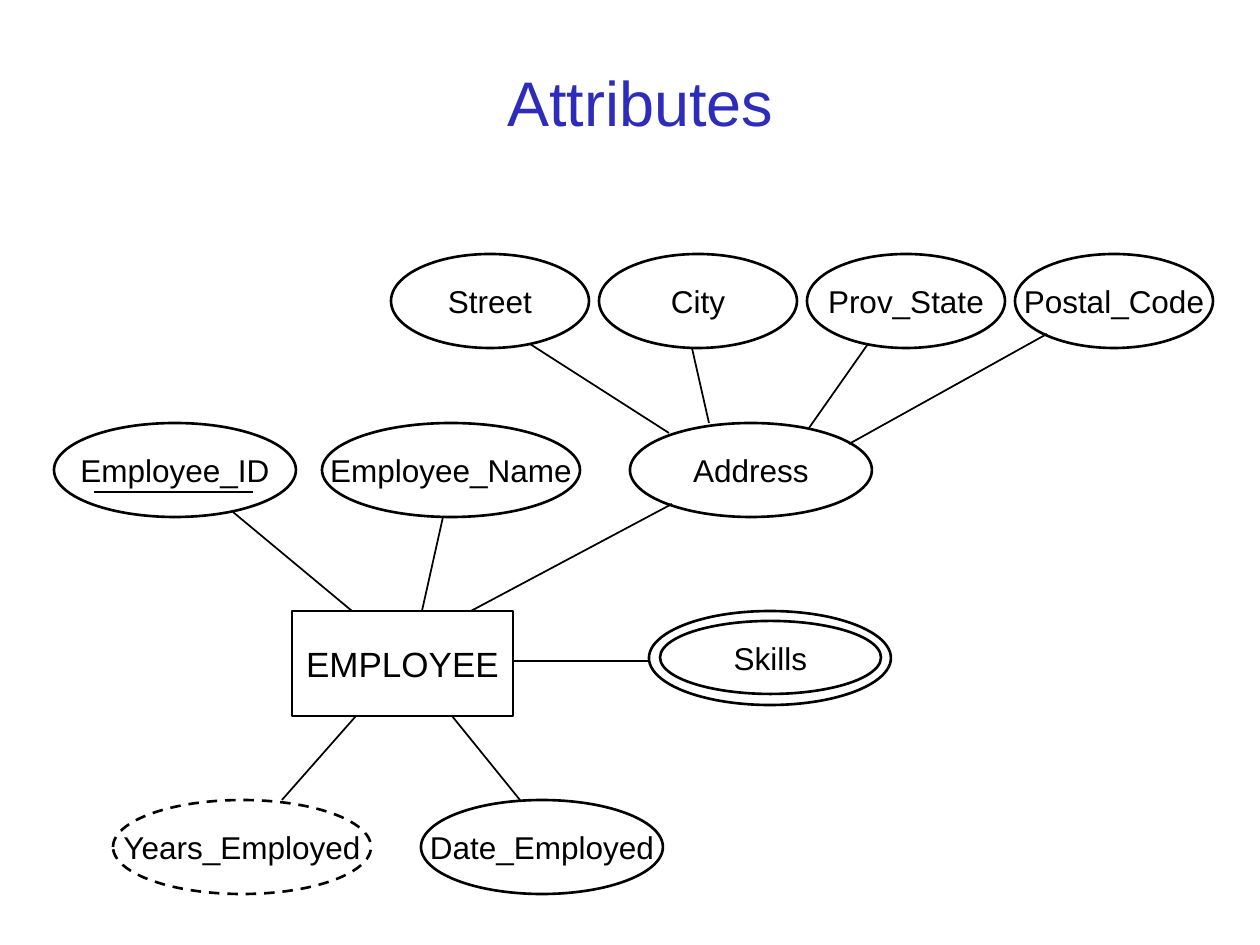
from lxml.etree import SubElement
from pptx import Presentation
from pptx.dml.color import RGBColor
from pptx.enum.dml import MSO_LINE
from pptx.enum.shapes import MSO_CONNECTOR, MSO_SHAPE
from pptx.enum.text import MSO_ANCHOR, PP_ALIGN
from pptx.oxml.ns import qn
from pptx.util import Emu, Pt

PIXEL = 914400 // 126
BLACK = "000000"
TITLE_BLUE = "2D2DB9"
OVAL_HEIGHT = 94


def px(*lengths):
    return [Emu(length * PIXEL) for length in lengths]


def color(value):
    return RGBColor.from_string(value)


def write(frame, text, size, text_color):
    frame.vertical_anchor = MSO_ANCHOR.MIDDLE
    paragraph = frame.paragraphs[0]
    paragraph.alignment = PP_ALIGN.CENTER
    run = paragraph.add_run()
    run.text = text
    run.font.name = "Arial"
    run.font.size = Pt(size)
    run.font.color.rgb = color(text_color)


def add_node(slide, kind, box, text="", size=18, dashed=False):
    shape = slide.shapes.add_shape(kind, *px(*box))
    shape.shadow.inherit = False
    shape.fill.background()
    shape.line.color.rgb = color(BLACK)
    shape.line.width = Pt(1.5)
    if dashed:
        shape.line.dash_style = MSO_LINE.DASH
    if text:
        shape.text_frame.word_wrap = False
        write(shape.text_frame, text, size, BLACK)


def add_line(slide, left, top, points, width=1):
    x1, y1, x2, y2 = points
    line = slide.shapes.add_connector(
        MSO_CONNECTOR.STRAIGHT, *px(left + x1, top + y1, left + x2, top + y2))
    line.line.color.rgb = color(BLACK)
    line.line.width = Pt(width)
    SubElement(line._element.spPr, qn("a:effectLst"))


def add_title(slide, box):
    title = slide.shapes.title
    title.left, title.top, title.width, title.height = px(*box)
    write(title.text_frame, "Attributes", 36, TITLE_BLUE)


def add_employee(slide, left, top):
    add_node(slide, MSO_SHAPE.RECTANGLE, (left + 238, top + 188, 221, 105), "EMPLOYEE", 20)
    attributes = [
        ("Employee_ID", 0, 0, 242, False),
        ("Employee_Name", 268, 0, 258, False),
        ("Years_Employed", 59, 377, 258, True),
        ("Date_Employed", 367, 377, 242, False),
    ]
    for name, x, y, width, derived in attributes:
        add_node(slide, MSO_SHAPE.OVAL, (left + x, top + y, width, OVAL_HEIGHT),
                 name, dashed=derived)
    add_node(slide, MSO_SHAPE.OVAL, (left + 595, top + 188, 242, OVAL_HEIGHT))
    add_node(slide, MSO_SHAPE.OVAL, (left + 606, top + 198, 221, 73), "Skills")
    links = [
        (368, 188, 389, 94), (417, 188, 618, 81), (298, 188, 179, 89),
        (458, 238, 596, 238), (398, 293, 466, 377), (228, 377, 302, 293),
    ]
    for points in links:
        add_line(slide, left, top, points)
    add_line(slide, left, top, (40, 69, 199, 69), 0.75)


def add_address(slide, left, top):
    add_node(slide, MSO_SHAPE.OVAL, (left + 239, top + 169, 242, OVAL_HEIGHT), "Address")
    for index, name in enumerate(["Street", "City", "Prov_State", "Postal_Code"]):
        add_node(slide, MSO_SHAPE.OVAL, (left + index * 208, top, 198, OVAL_HEIGHT), name)
    links = [
        (278, 179, 139, 90), (318, 169, 301, 94),
        (418, 174, 477, 90), (458, 190, 656, 80),
    ]
    for points in links:
        add_line(slide, left, top, points)


presentation = Presentation()
presentation.slide_width, presentation.slide_height = px(1260, 945)
slide = presentation.slides.add_slide(presentation.slide_layouts[5])
add_title(slide, (42, 22, 1197, 158))
add_employee(slide, 54, 423)
add_address(slide, 391, 254)
presentation.save("out.pptx")
